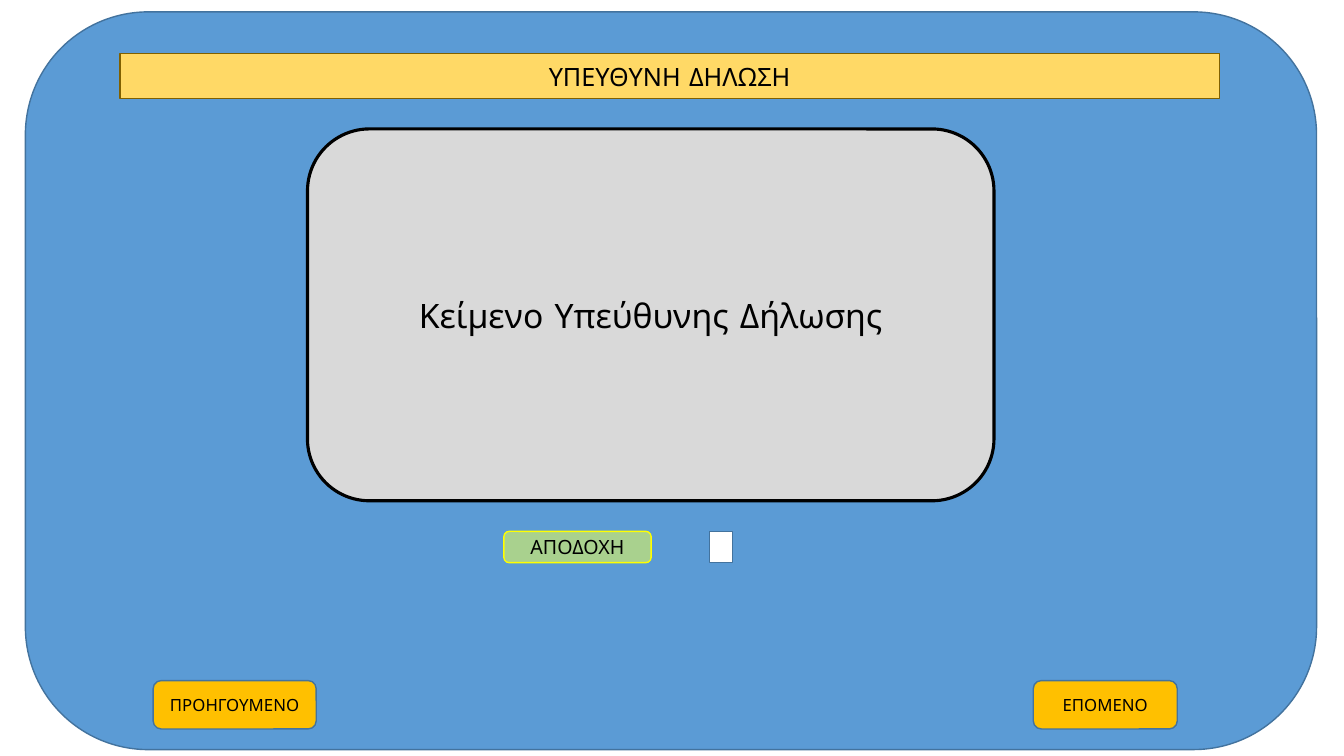
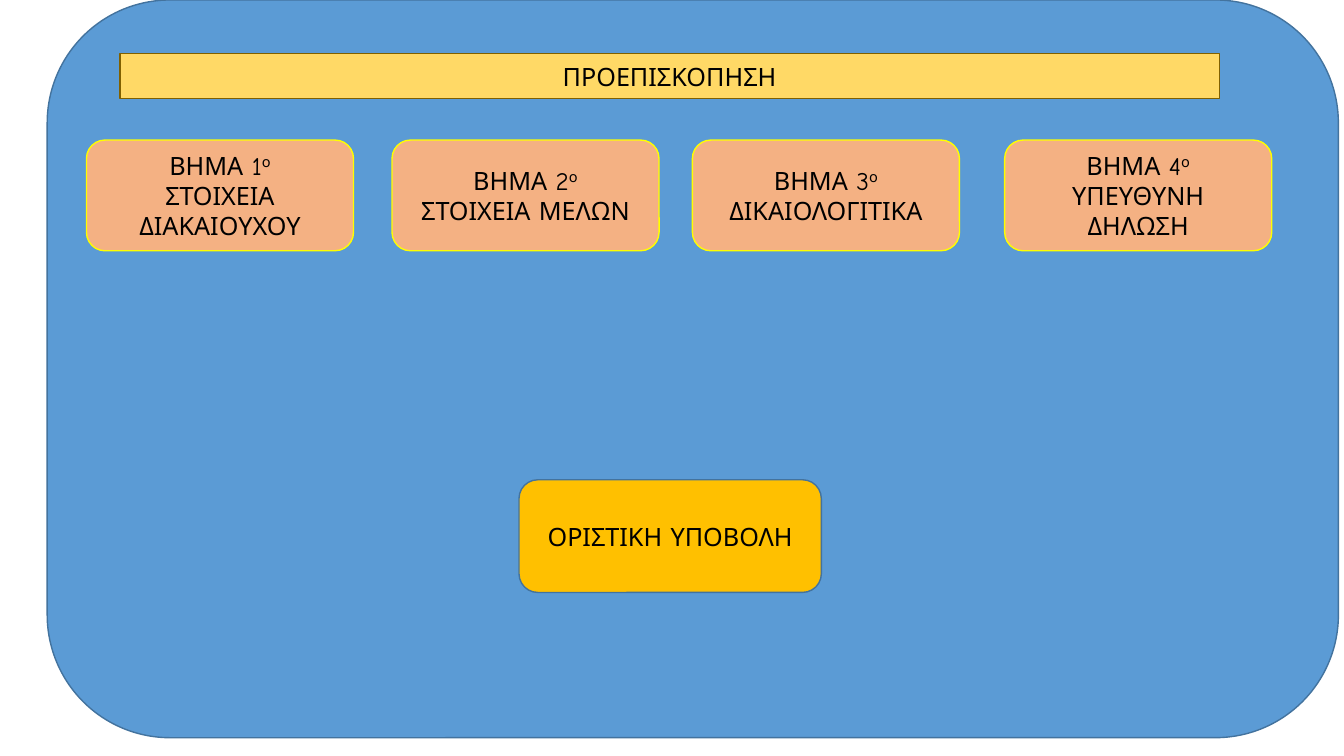
from pptx import Presentation
from pptx.dml.color import RGBColor
from pptx.enum.shapes import MSO_SHAPE
from pptx.enum.text import MSO_ANCHOR, MSO_AUTO_SIZE, PP_ALIGN
from pptx.util import Cm, Pt

COLORS = {
    "panel": "5B9BD5", "edge": "43739E", "title": "FFD966", "title_edge": "806000",
    "text": "000000", "statement": "D9D9D9", "accept": "A9D18E", "bright": "FFFF00",
    "check": "FFFFFF", "button": "FFC000", "step": "F4B183",
}
FRAME = {"word_wrap": True, "auto_size": MSO_AUTO_SIZE.NONE,
         "vertical_anchor": MSO_ANCHOR.MIDDLE}
ROUND, RECT = MSO_SHAPE.ROUNDED_RECTANGLE, MSO_SHAPE.RECTANGLE
TITLE_BOX = (3.02, 1.35, 27.71, 1.14)


def style(sp, fill, edge, paragraphs=(), size=18, weight=1):
    sp.fill.solid()
    sp.fill.fore_color.rgb = RGBColor.from_string(COLORS[fill])
    sp.line.color.rgb = RGBColor.from_string(COLORS[edge])
    sp.line.width = Pt(weight)
    tf = sp.text_frame
    for name, value in FRAME.items():
        setattr(tf, name, value)
    for i, runs in enumerate(paragraphs):
        p = tf.add_paragraph() if i else tf.paragraphs[0]
        p.alignment = PP_ALIGN.CENTER
        for j, text in enumerate(runs):
            r = p.add_run()
            r.text = text
            for name, value in {"name": "Comic Neue", "size": Pt(size)}.items():
                setattr(r.font, name, value)
            r.font.color.rgb = RGBColor.from_string(COLORS["text"])
            if j:
                r._r.get_or_add_rPr().set("baseline", "30000")


def add_box(s, kind, box, *args, **kwargs):
    sp = s.shapes.add_shape(kind, *map(Cm, box))
    sp.shadow.inherit = False
    style(sp, *args, **kwargs)
    return sp


prs = Presentation()
prs.slide_width, prs.slide_height = Cm(33.87), Cm(19.05)

slides = []
for title, left, top in [("ΥΠΕΥΘΥΝΗ ΔΗΛΩΣΗ", 0.64, 0.3), ("ΠΡΟΕΠΙΣΚΟΠΗΣΗ", 1.19, 0)]:
    s = prs.slides.add_slide(prs.slide_layouts[5])
    panel = add_box(s, ROUND, (left, top, 32.54, 18.59), "panel", "edge")
    s.shapes._spTree.insert(2, panel._element)
    sp = s.shapes.title
    for name, value in zip(("left", "top", "width", "height"), TITLE_BOX):
        setattr(sp, name, Cm(value))
    style(sp, "title", "title_edge", [[title]])
    slides.append(s)

declaration, preview = slides

add_box(declaration, ROUND, (7.75, 3.25, 17.3, 9.37), "statement", "text",
        [["Κείμενο Υπεύθυνης Δήλωσης"]], size=24, weight=2.25)
add_box(declaration, ROUND, (12.7, 13.39, 3.71, 0.79), "accept", "bright",
        [["ΑΠΟΔΟΧΗ"]], size=14)
add_box(declaration, RECT, (17.88, 13.39, 0.58, 0.79), "check", "edge")
for text, left, width in [("ΠΡΟΗΓΟΥΜΕΝΟ", 3.86, 4.11), ("ΕΠΟΜΕΝΟ", 26.04, 3.63)]:
    add_box(declaration, ROUND, (left, 17.15, width, 1.22), "button", "edge",
            [[text]], size=12)

steps = [(2.18, "ΣΤΟΙΧΕΙΑ ΔΙΑΚΑΙΟΥΧΟΥ"), (9.88, "ΣΤΟΙΧΕΙΑ ΜΕΛΩΝ"),
         (17.45, "ΔΙΚΑΙΟΛΟΓΙΤΙΚΑ"), (25.32, "ΥΠΕΥΘΥΝΗ ΔΗΛΩΣΗ")]
for number, (left, text) in enumerate(steps, 1):
    add_box(preview, ROUND, (left, 3.53, 6.73, 2.79), "step", "bright",
            [[f"ΒΗΜΑ {number}", "ο"], [text]])
add_box(preview, ROUND, (13.08, 12.09, 7.62, 2.84), "button", "edge",
        [["ΟΡΙΣΤΙΚΗ ΥΠΟΒΟΛΗ"]])

prs.save("out.pptx")
